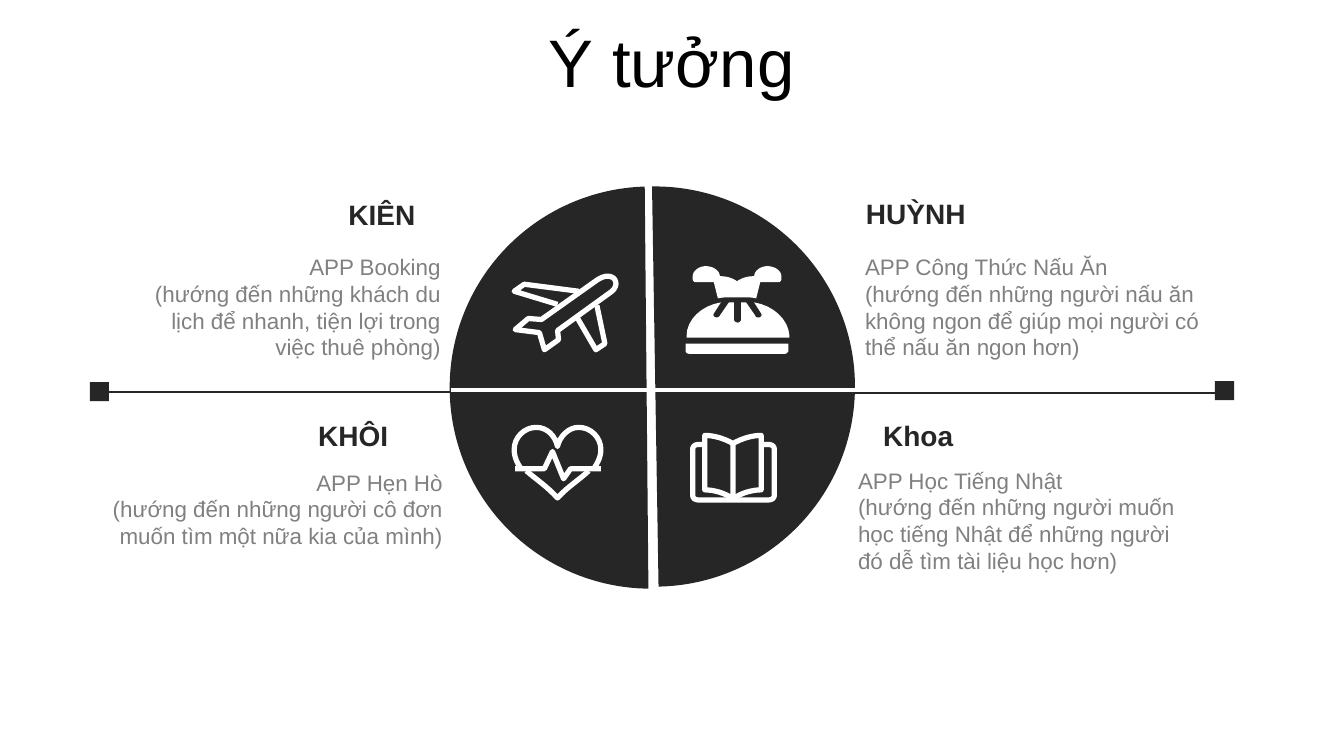
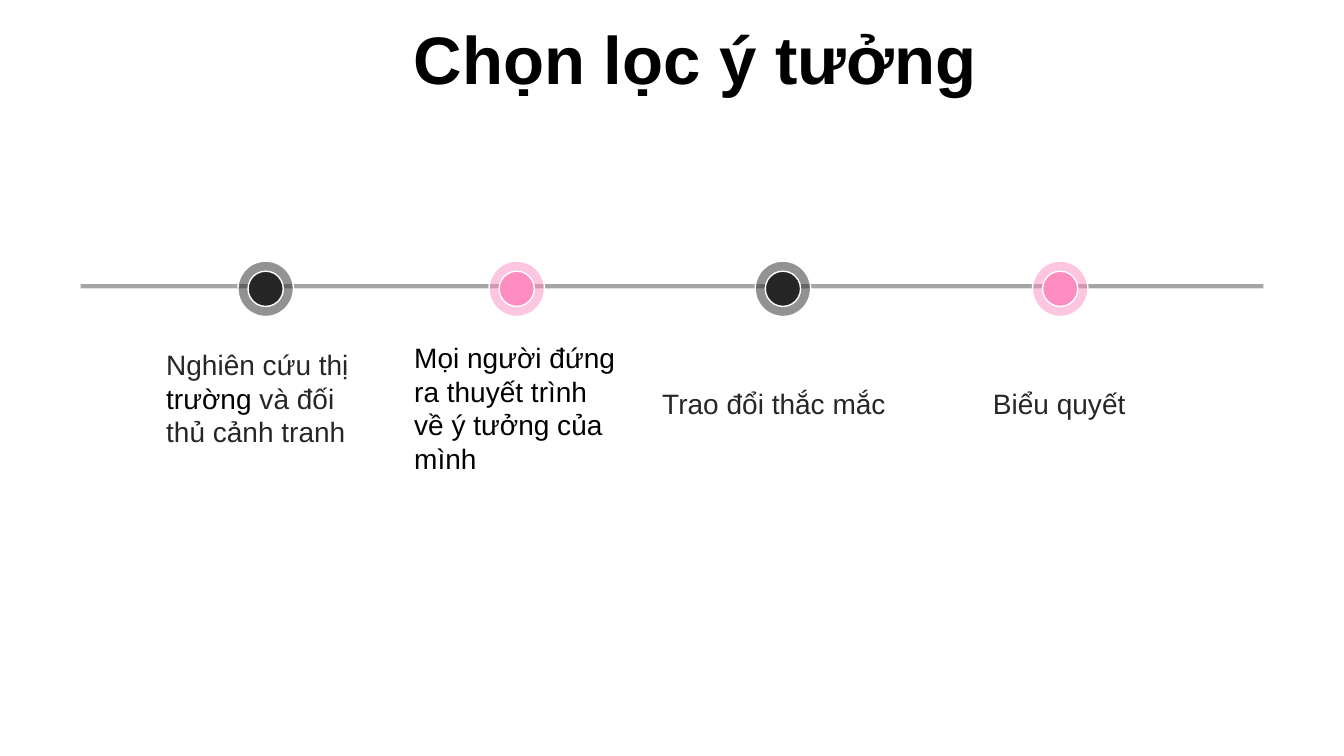
from pptx import Presentation
from pptx.dml.color import RGBColor
from pptx.enum.shapes import MSO_CONNECTOR, MSO_SHAPE
from pptx.enum.text import MSO_ANCHOR, MSO_AUTO_SIZE, PP_ALIGN
from pptx.oxml.ns import qn
from pptx.util import Pt
from lxml.etree import SubElement

PX = 9144
FONT = "Arial"
COLORS = {
    "ink": "262626",
    "black": "000000",
    "gray": "808080",
    "white": "FFFFFF",
    "pink": "FD8CC1",
}
TITLE_ONLY = 5

PLANE = (
    "M574 289 L520 282 L510 289 L553 302 "
    "M592 278 C595 276 599 274 603 274 C611 274 614 283 607 289 "
    "L553 328 L554 337 L540 347 L535 330 L511 327 L524 316 L537 317 L592 278 "
    "M592 303 L600 341 L591 347 L573 316"
)
HEART = (
    "M517 465 C513 460 510 453 510 446 C510 434 520 424 532 424 "
    "C543 424 551 433 553 443 C555 433 564 424 574 424 "
    "C586 424 596 434 596 446 C596 453 593 459 589 465 "
    "M522 467 C531 475 542 482 553 494 C564 482 576 475 584 467 "
    "M511 465 L540 465 L548 448 L559 475 L566 465 L596 465"
)
BOOK = (
    "M727 495 C719 489 708 486 699 486 L699 432 C708 432 718 435 727 440 "
    "L727 495 C735 489 746 486 755 486 L755 432 C746 432 736 435 727 440 "
    "M699 441 L693 441 C689 441 687 443 687 446 L687 491 "
    "C687 494 689 496 693 496 L762 496 C766 496 768 494 768 491 "
    "L768 446 C768 443 766 441 762 441 L755 441"
)
BUN_PARTS = (
    "M680 341 L680 348 C680 350 682 351 683 351 L779 351 "
    "C780 351 782 349 782 348 L782 341 L680 341",
    "M723 300 L714 313 C714 314 712 315 711 315 C708 315 707 313 708 311 "
    "L715 300 C696 303 681 317 681 333 L681 335 L783 335 L783 333 "
    "C782 317 767 303 748 300 L755 311 C756 313 755 315 752 315 "
    "C750 315 749 314 749 313 L740 300 L735 300 L735 317 "
    "C735 319 733 320 732 320 C730 320 728 319 728 317 L728 300 L723 300",
    "M700 264 C693 264 687 269 687 274 L687 277 C687 278 688 280 690 280 "
    "L708 280 L712 296 C716 295 720 295 724 295 L738 295 "
    "C742 295 746 295 750 296 L754 280 L772 280 C774 280 775 278 775 277 "
    "L775 274 C775 269 769 264 761 264 C754 264 748 269 748 274 L747 274 "
    "C741 274 735 276 731 279 C727 276 721 274 715 274 L714 274 "
    "C714 269 708 264 700 264",
)


def px(*lengths):
    return [round(length * PX) for length in lengths]


def rgb(color):
    return RGBColor.from_string(COLORS[color])


def set_alpha(fill_parent, percent):
    for clr in fill_parent.iter(qn("a:srgbClr")):
        SubElement(clr, qn("a:alpha")).set("val", str(percent * 1000))


def add_titled_slide(prs, text, box, bold=False):
    slide = prs.slides.add_slide(prs.slide_layouts[TITLE_ONLY])
    title = slide.shapes.title
    title.left, title.top, title.width, title.height = px(*box)
    frame = title.text_frame
    frame.text = text
    frame.word_wrap = False
    frame.auto_size = MSO_AUTO_SIZE.NONE
    frame.vertical_anchor = MSO_ANCHOR.TOP
    font = frame.paragraphs[0].runs[0].font
    font.name, font.size, font.bold = FONT, Pt(48), bold
    font.color.rgb = rgb("black")
    return slide


def add_text(slide, box, paragraphs, size, margins, align=PP_ALIGN.LEFT,
             bold=False, wrap=True, spacing=None):
    frame = slide.shapes.add_textbox(*px(*box)).text_frame
    frame.word_wrap = wrap
    (frame.margin_left, frame.margin_top,
     frame.margin_right, frame.margin_bottom) = px(*margins)
    for index, pieces in enumerate(paragraphs):
        paragraph = frame.add_paragraph() if index else frame.paragraphs[0]
        paragraph.alignment = align
        paragraph.line_spacing = spacing
        for text, color in pieces:
            run = paragraph.add_run()
            run.text = text
            run.font.name, run.font.size, run.font.bold = FONT, Pt(size), bold
            run.font.color.rgb = rgb(color)


def add_solid(slide, kind, box, color, outline=None, alpha=None):
    shape = slide.shapes.add_shape(kind, *px(*box))
    shape.shadow.inherit = False
    shape.fill.solid()
    shape.fill.fore_color.rgb = rgb(color)
    if alpha:
        set_alpha(shape._element.spPr.find(qn("a:solidFill")), alpha)
    if outline:
        shape.line.color.rgb = rgb(outline)
        shape.line.width = Pt(1)
    else:
        shape.line.fill.background()
    return shape


def add_line(slide, ends, color, width, alpha=None):
    line = slide.shapes.add_connector(MSO_CONNECTOR.STRAIGHT, *px(*ends))
    line.line.color.rgb = rgb(color)
    line.line.width = Pt(width)
    if alpha:
        set_alpha(line._element.spPr, alpha)
    SubElement(line._element.spPr, qn("a:effectLst"))
    return line


def add_half_disc(slide, box, start, end):
    half = add_solid(slide, MSO_SHAPE.CHORD, box, "ink")
    half.adjustments[0] = start * 0.6
    half.adjustments[1] = end * 0.6


def curve_points(p0, p1, p2, p3, steps=8):
    for step in range(1, steps + 1):
        t = step / steps
        u = 1 - t
        yield tuple(
            u ** 3 * a + 3 * u * u * t * b + 3 * u * t * t * c + t ** 3 * d
            for a, b, c, d in zip(p0, p1, p2, p3)
        )


def trace(outline):
    contours = []
    tokens = iter(outline.split())
    for token in tokens:
        command = token[0]
        numbers = [int(token[1:]), int(next(tokens))]
        if command == "C":
            numbers += [int(next(tokens)) for _ in range(4)]
        points = list(zip(numbers[::2], numbers[1::2]))
        if command == "M":
            contours.append(points)
        elif command == "L":
            contours[-1] += points
        else:
            contours[-1] += curve_points(contours[-1][-1], *points)
    return contours


def add_icon(slide, outline, stroke=None):
    contours = [[tuple(px(*point)) for point in contour]
                for contour in trace(outline)]
    builder = slide.shapes.build_freeform(*contours[0][0])
    for index, contour in enumerate(contours):
        if index:
            builder.move_to(*contour[0])
        builder.add_line_segments(contour[1:], close=not stroke)
    icon = builder.convert_to_shape()
    icon.shadow.inherit = False
    if stroke:
        icon.fill.background()
        icon.line.color.rgb = rgb("white")
        icon.line.width = Pt(stroke)
    else:
        icon.fill.solid()
        icon.fill.fore_color.rgb = rgb("white")
        icon.line.fill.background()


def add_idea(slide, name, name_at, lines, lines_box, align):
    add_text(slide, (*name_at, 126, 47), [[(name, "ink")]], 20,
             (10, 10, 10, 10), align, bold=True)
    add_text(slide, lines_box, [[(line, "gray")] for line in lines], 16,
             (0, 1, 0, 0), align)


def build_ideas(prs):
    slide = add_titled_slide(prs, "Ý tưởng", (533, 15, 267, 91))
    add_half_disc(slide, (446, 185, 399, 399), 90.68, 268.27)
    add_half_disc(slide, (451, 185, 397, 397), 269.21, 88.93)

    left_end = add_solid(slide, MSO_SHAPE.RECTANGLE, (89, 379, 19, 19), "ink")
    left_arm = add_line(slide, (463, 388.5, 108, 388.5), "ink", 1.5)
    left_arm.end_connect(left_end, 3)
    add_solid(slide, MSO_SHAPE.RECTANGLE, (1205, 378, 19, 19), "ink")
    add_line(slide, (823, 390, 1215, 390), "ink", 1.5)
    add_line(slide, (447, 387, 852, 387), "white", 2.25)

    for outline in (PLANE, HEART, BOOK):
        add_icon(slide, outline, stroke=3.75)
    for outline in BUN_PARTS:
        add_icon(slide, outline)

    ideas = [
        ("KIÊN", (296, 186),
         ("APP Booking",
          "(hướng đến những khách du lịch để nhanh, tiện lợi trong việc thuê phòng)"),
         (137, 250, 300, 119), PP_ALIGN.RIGHT),
        ("KHÔI", (269, 405),
         ("APP Hẹn Hò",
          "(hướng đến những người cô đơn muốn tìm một nữa kia của mình)"),
         (91, 464, 348, 58), PP_ALIGN.RIGHT),
        ("HUỲNH", (849, 185),
         ("APP Công Thức Nấu Ăn",
          "(hướng đến những người nấu ăn không ngon để giúp mọi người có thể nấu ăn ngon hơn)"),
         (858, 250, 357, 58), PP_ALIGN.LEFT),
        ("Khoa", (866, 405),
         ("APP Học Tiếng Nhật",
          "(hướng đến những người muốn học tiếng Nhật để những người đó dễ tìm tài liệu học hơn)"),
         (851, 462, 332, 58), PP_ALIGN.LEFT),
    ]
    for idea in ideas:
        add_idea(slide, *idea)


def add_milestone(slide, left, color):
    for inset, alpha in ((0, 50), (10, None)):
        size = 55 - 2 * inset
        add_solid(slide, MSO_SHAPE.OVAL, (left + inset, 259 + inset, size, size),
                  color, outline="white", alpha=alpha)


def build_selection(prs):
    slide = add_titled_slide(prs, "Chọn lọc ý tưởng", (397, 12, 585, 91), bold=True)
    add_line(slide, (80, 284, 1253, 284), "gray", 3, alpha=70)
    steps = [
        (236, "ink", (155, 340, 226, 111),
         [("Nghiên cứu thị", "ink"), (" trường ", "black"),
          ("và đối thủ cảnh tranh", "ink")], True, None),
        (485, "pink", (401, 333, 226, 145),
         [("Mọi người đứng ra thuyết trình về ý tưởng của mình", "black")], True, None),
        (749, "ink", (647, 345, 243, 67), [("Trao đổi thắc mắc", "ink")], False, 2.0),
        (1024, "pink", (975, 345, 153, 67), [("Biểu quyết", "ink")], False, 2.0),
    ]
    for left, color, box, pieces, wrap, spacing in steps:
        add_milestone(slide, left, color)
        add_text(slide, box, [pieces], 20, (10, 5, 10, 5), wrap=wrap, spacing=spacing)


def main():
    prs = Presentation()
    prs.slide_width, prs.slide_height = px(1333, 750)
    build_ideas(prs)
    build_selection(prs)
    prs.save("out.pptx")


if __name__ == "__main__":
    main()
